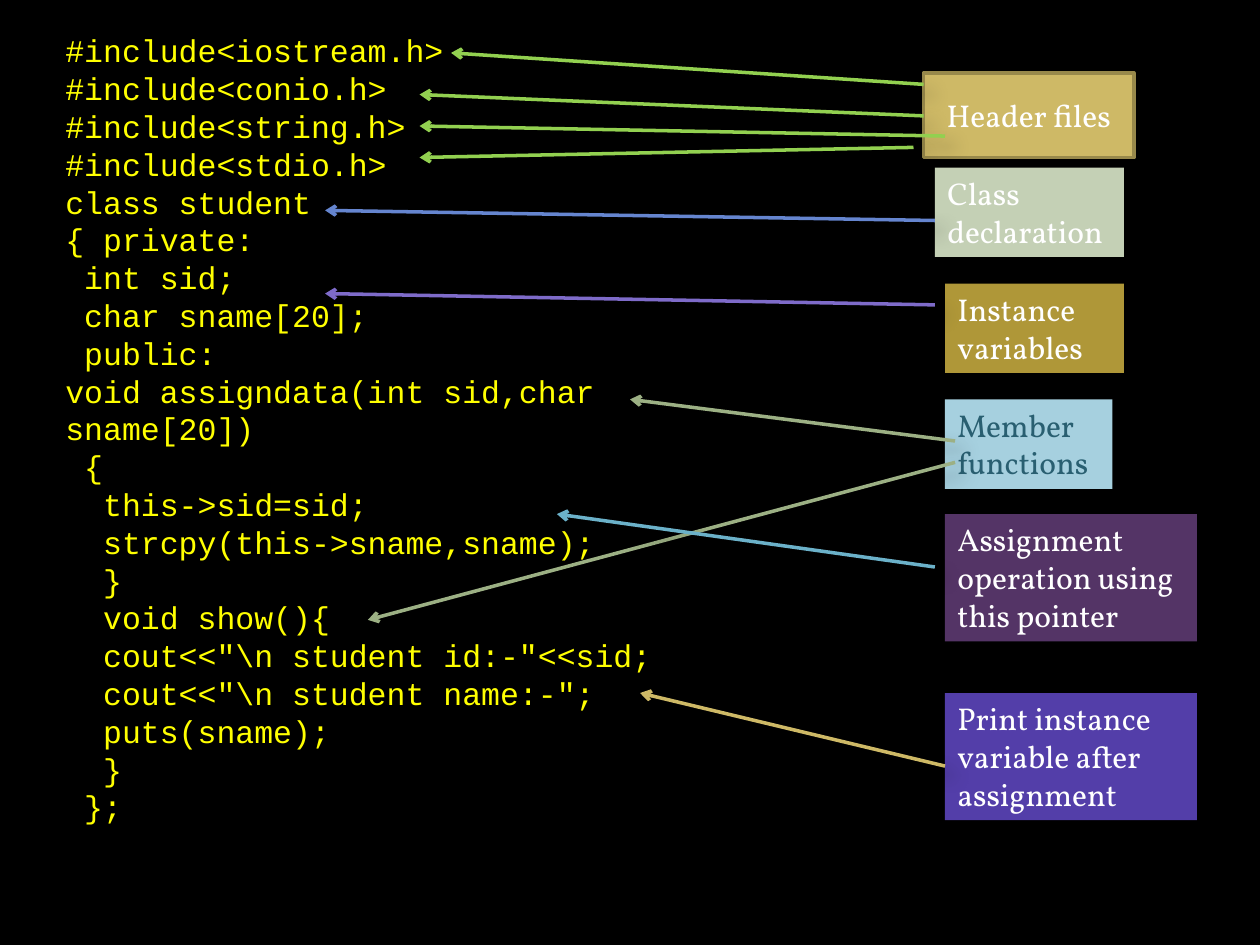
from lxml.etree import SubElement
from pptx import Presentation
from pptx.dml.color import RGBColor
from pptx.enum.shapes import MSO_CONNECTOR, MSO_SHAPE
from pptx.enum.text import MSO_ANCHOR, MSO_AUTO_SIZE, PP_ALIGN
from pptx.oxml.ns import qn
from pptx.util import Inches, Pt

COLORS = {
    "black": "000000", "white": "FFFFFF", "code": "FFFF00",
    "gold": "CEB966", "gold_edge": "98894B", "green": "92D050",
    "sage_light": "C4D0B5", "sage": "9CB084", "blue": "6585CF",
    "ochre": "AF9738", "violet": "7E6BC9", "sky_light": "A6D0DF",
    "sky": "6BB1C9", "teal": "295F71", "plum": "543466", "indigo": "533EA9",
}

CODE = r'''#include<iostream.h>
#include<conio.h>
#include<string.h>
#include<stdio.h>
class student
{ private:
 int sid;
 char sname[20];
 public:
void assigndata(int sid,char sname[20])
 {
  this->sid=sid;
  strcpy(this->sname,sname);
  }
  void show(){
  cout<<"\n student id:-"<<sid;
  cout<<"\n student name:-";
  puts(sname);
  }
 };'''

NOTES = [
    ("Class declaration", (7.42, 1.33, 1.5, 0.71), "sage_light", "white",
     "blue", [(7.42, 1.75, 2.58, 1.67)]),
    ("Instance variables", (7.5, 2.25, 1.42, 0.71), "ochre", "white",
     "violet", [(7.42, 2.42, 2.58, 2.33)]),
    ("Member functions", (7.5, 3.17, 1.33, 0.71), "sky_light", "teal",
     "sage", [(7.58, 3.5, 5, 3.17), (7.58, 3.67, 2.92, 4.92)]),
    ("Assignment operation using this pointer", (7.5, 4.08, 2, 1.01), "plum", "white",
     "sky", [(7.42, 4.5, 4.42, 4.08)]),
    ("Print instance variable after assignment", (7.5, 5.5, 2, 1.01), "indigo", "white",
     "gold", [(7.5, 6.08, 5.08, 5.5)]),
]

HEADER_ARROWS = [
    (7.33, 0.67, 3.58, 0.42), (7.33, 0.92, 3.33, 0.75),
    (7.5, 1.08, 3.33, 1), (7.25, 1.17, 3.33, 1.25),
]


def rgb(name):
    """Return the named palette colour."""
    return RGBColor.from_string(COLORS[name])


def write(sp, text, font, color):
    """Set wrapped 18 pt text in a shape and return its frame."""
    tf = sp.text_frame
    tf.word_wrap = True
    tf.text = text
    for p in tf.paragraphs:
        for r in p.runs:
            r.font.name = font
            r.font.size = Pt(18)
            r.font.color.rgb = rgb(color)
    return tf


def add_code(s):
    """Add the program listing."""
    sp = s.shapes.add_textbox(*map(Inches, (0.42, 0.17, 5.58, 6.46)))
    tf = write(sp, CODE, "Courier New", "code")
    tf.vertical_anchor = MSO_ANCHOR.MIDDLE
    tf.auto_size = MSO_AUTO_SIZE.SHAPE_TO_FIT_TEXT


def add_header_box(s):
    """Add the outlined box for the header files."""
    sp = s.shapes.add_shape(MSO_SHAPE.RECTANGLE, *map(Inches, (7.33, 0.58, 1.67, 0.67)))
    sp.shadow.inherit = False
    sp.fill.solid()
    sp.fill.fore_color.rgb = rgb("gold")
    sp.line.color.rgb = rgb("gold_edge")
    sp.line.width = Pt(2)
    tf = write(sp, "Header files", "Vollkorn", "white")
    tf.vertical_anchor = MSO_ANCHOR.MIDDLE
    tf.paragraphs[0].alignment = PP_ALIGN.CENTER


def add_note(s, text, box, fill, color):
    """Add a filled note that grows with its text."""
    sp = s.shapes.add_textbox(*map(Inches, box))
    sp.fill.solid()
    sp.fill.fore_color.rgb = rgb(fill)
    tf = write(sp, text, "Vollkorn", color)
    tf.auto_size = MSO_AUTO_SIZE.SHAPE_TO_FIT_TEXT


def add_arrow(s, ends, color):
    """Add an arrow with a soft shadow."""
    cn = s.shapes.add_connector(MSO_CONNECTOR.STRAIGHT, *map(Inches, ends))
    cn.line.color.rgb = rgb(color)
    cn.line.width = Pt(2)
    spPr = cn._element.spPr
    SubElement(spPr.find(qn("a:ln")), qn("a:tailEnd"), type="arrow")
    effects = SubElement(spPr, qn("a:effectLst"))
    shadow = SubElement(effects, qn("a:outerShdw"), blurRad=str(Pt(10.2)),
                        dist=str(Pt(8)), dir="2700000", rotWithShape="0")
    tint = SubElement(shadow, qn("a:srgbClr"), val=COLORS["black"])
    SubElement(tint, qn("a:alpha"), val="35000")


def main():
    """Build the annotated class slide."""
    prs = Presentation()
    prs.slide_width, prs.slide_height = Inches(10), Inches(7.5)
    s = prs.slides.add_slide(prs.slide_layouts[6])
    s.background.fill.solid()
    s.background.fill.fore_color.rgb = rgb("black")
    add_code(s)
    add_header_box(s)
    for ends in HEADER_ARROWS:
        add_arrow(s, ends, "green")
    for text, box, fill, color, arrow_color, arrows in NOTES:
        add_note(s, text, box, fill, color)
        for ends in arrows:
            add_arrow(s, ends, arrow_color)
    prs.save("out.pptx")


main()
